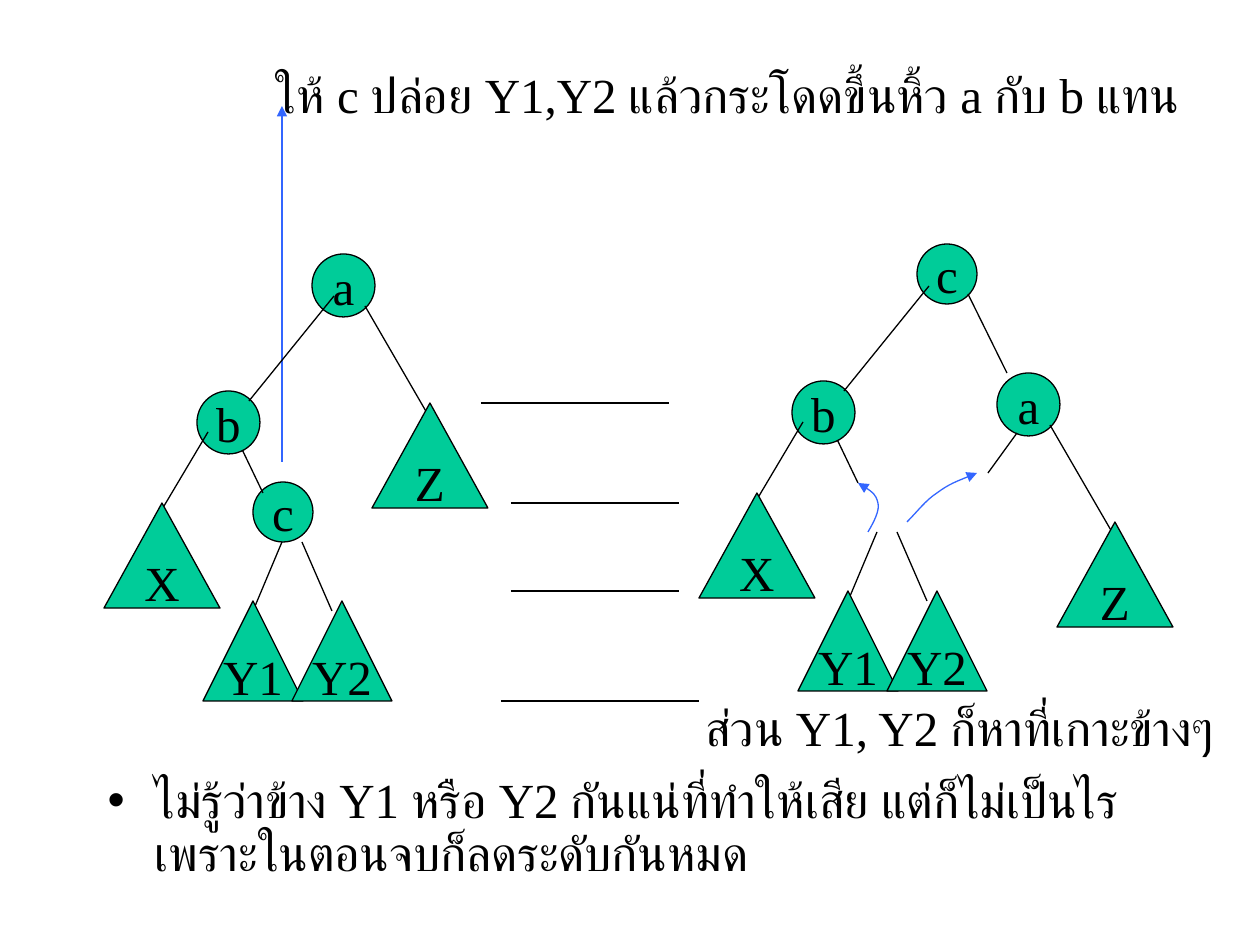
"""Build a slide showing a double rotation of a search tree."""
from dataclasses import dataclass

from lxml import etree
from pptx import Presentation
from pptx import util as u
from pptx.dml.color import RGBColor
from pptx.enum import shapes, text
from pptx.oxml.ns import qn

Point = tuple[int, int]


@dataclass(frozen=True)
class Theme:
    ink: RGBColor = RGBColor(0, 0, 0)
    node: RGBColor = RGBColor(0x00, 0xCC, 0x99)
    move: RGBColor = RGBColor(0x33, 0x66, 0xFF)
    font: str = "Times New Roman"
    size: float = 28
    line: float = 0.75


@dataclass(frozen=True)
class Node:
    label: str
    left: int
    top: int
    width: int
    height: int
    kind: shapes.MSO_SHAPE = shapes.MSO_SHAPE.ISOSCELES_TRIANGLE


@dataclass(frozen=True)
class Edge:
    start: Point
    end: Point


THEME = Theme()
ROUND = shapes.MSO_SHAPE.OVAL
LIMB = [
    Node("a", 312, 254, 63, 63, ROUND),
    Edge((365, 306), (438, 432)),
    Node("Z", 372, 403, 116, 105),
]
BRANCH = [
    Edge((239, 443), (263, 493)),
    Node("b", 197, 391, 63, 63, ROUND),
    Edge((334, 296), (249, 401)),
    Edge((208, 432), (145, 538)),
    Node("X", 104, 503, 116, 105),
    Edge((282, 542), (253, 611)),
    Edge((302, 542), (332, 611)),
    Node("Y1", 203, 601, 100, 100),
    Node("Y2", 292, 601, 100, 100),
]
BARS = [(481, 669, 403), (511, 679, 503), (511, 679, 591), (501, 699, 701)]
CURVES = [
    [(868, 532), (874, 522), (880, 510), (878, 503), (876, 494), (867, 488), (858, 483)],
    [(907, 522), (917, 512), (926, 500), (937, 493), (949, 484), (963, 479), (977, 473)],
]


def px(length: int) -> int:
    return round(length * 914400 / 126)


def style(frame: text.MSO_ANCHOR, words: str) -> None:
    frame.text = words
    for run in frame.paragraphs[0].runs:
        run.font.name = THEME.font
        run.font.size = u.Pt(THEME.size)
        run.font.color.rgb = THEME.ink
        script = etree.SubElement(run.font._element, qn("a:cs"))
        script.set("typeface", THEME.font)


def stroke(line, color: RGBColor, arrow: bool = False) -> None:
    line.color.rgb = color
    line.width = u.Pt(THEME.line)
    if arrow:
        tip = etree.SubElement(line._get_or_add_ln(), qn("a:tailEnd"))
        tip.set("type", "triangle")


def draw_node(slide, node: Node, dx: int = 0, dy: int = 0) -> None:
    shape = slide.shapes.add_shape(
        node.kind, px(node.left + dx), px(node.top + dy), px(node.width), px(node.height)
    )
    shape.shadow.inherit = False
    shape.fill.solid()
    shape.fill.fore_color.rgb = THEME.node
    stroke(shape.line, THEME.ink)
    frame = shape.text_frame
    style(frame, node.label)
    frame.word_wrap = False
    frame.vertical_anchor = text.MSO_ANCHOR.MIDDLE
    frame.paragraphs[0].alignment = text.PP_ALIGN.CENTER


def draw_edge(slide, edge: Edge, dx: int = 0, dy: int = 0,
              color: RGBColor = THEME.ink, arrow: bool = False) -> None:
    (x1, y1), (x2, y2) = edge.start, edge.end
    link = slide.shapes.add_connector(
        shapes.MSO_CONNECTOR.STRAIGHT, px(x1 + dx), px(y1 + dy), px(x2 + dx), px(y2 + dy)
    )
    stroke(link.line, color, arrow)
    etree.SubElement(link._element.spPr, qn("a:effectLst"))


def draw_parts(slide, parts: list[Node | Edge], dx: int = 0, dy: int = 0) -> None:
    for part in parts:
        draw = draw_node if isinstance(part, Node) else draw_edge
        draw(slide, part, dx, dy)


def draw_curve(slide, points: list[Point]) -> None:
    spots = [(px(x), px(y)) for x, y in points]
    form = slide.shapes.build_freeform(*spots[0])
    form.add_line_segments(spots[1:], close=False)
    shape = form.convert_to_shape()
    shape.shadow.inherit = False
    shape.fill.background()
    stroke(shape.line, THEME.move, arrow=True)
    steps = list(shape._element.iter(qn("a:lnTo")))
    for first in range(0, len(steps), 3):
        trio = steps[first:first + 3]
        bend = etree.Element(qn("a:cubicBezTo"))
        trio[0].addprevious(bend)
        for step in trio:
            bend.append(step[0])
            step.getparent().remove(step)


def draw_note(slide, words: str, left: int, top: int, width: int) -> None:
    box = slide.shapes.add_textbox(px(left), px(top), px(width), px(72))
    style(box.text_frame, words)
    box.text_frame.word_wrap = False
    box.text_frame.auto_size = text.MSO_AUTO_SIZE.SHAPE_TO_FIT_TEXT


def fill_body(slide, words: str) -> None:
    title = slide.shapes.title._element
    title.getparent().remove(title)
    body = slide.placeholders[1]
    body.left, body.top, body.width, body.height = map(px, (95, 770, 1071, 129))
    style(body.text_frame, words)
    body.text_frame.auto_size = text.MSO_AUTO_SIZE.NONE
    para = body.text_frame.paragraphs[0]
    para.line_spacing = 0.9
    para.space_before = u.Pt(7)
    props = para._p.get_or_add_pPr()
    props.set("marL", str(px(47)))
    props.set("indent", str(-px(47)))
    etree.SubElement(props, qn("a:buChar")).set("char", "•")


def main() -> None:
    deck = Presentation()
    deck.slide_width, deck.slide_height = px(1260), px(945)
    slide = deck.slides.add_slide(deck.slide_layouts[1])
    fill_body(slide, "ไม่รู้ว่าข้าง Y1 หรือ Y2 กันแน่ที่ทำให้เสีย แต่ก็ไม่เป็นไรเพราะในตอนจบก็ลดระดับกันหมด")
    draw_edge(slide, Edge((282, 462), (282, 106)), color=THEME.move, arrow=True)
    draw_note(slide, " ให้ c ปล่อย Y1,Y2 แล้วกระโดดขึ้นหิ้ว a กับ b แทน", 251, 58, 954)

    draw_node(slide, Node("c", 253, 482, 60, 60, ROUND))
    draw_parts(slide, LIMB)
    draw_parts(slide, BRANCH)
    for left, right, top in BARS:
        draw_edge(slide, Edge((left, top), (right, top)))

    draw_node(slide, Node("c", 917, 244, 60, 60, ROUND))
    draw_parts(slide, LIMB, 685, 119)
    draw_parts(slide, BRANCH, 595, -10)
    draw_edge(slide, Edge((968, 294), (1007, 373)))
    draw_edge(slide, Edge((1017, 433), (988, 473)))
    for points in CURVES:
        draw_curve(slide, points)
    draw_note(slide, "ส่วน Y1, Y2 ก็หาที่เกาะข้างๆ", 693, 691, 548)
    deck.save("out.pptx")


if __name__ == "__main__":
    main()
